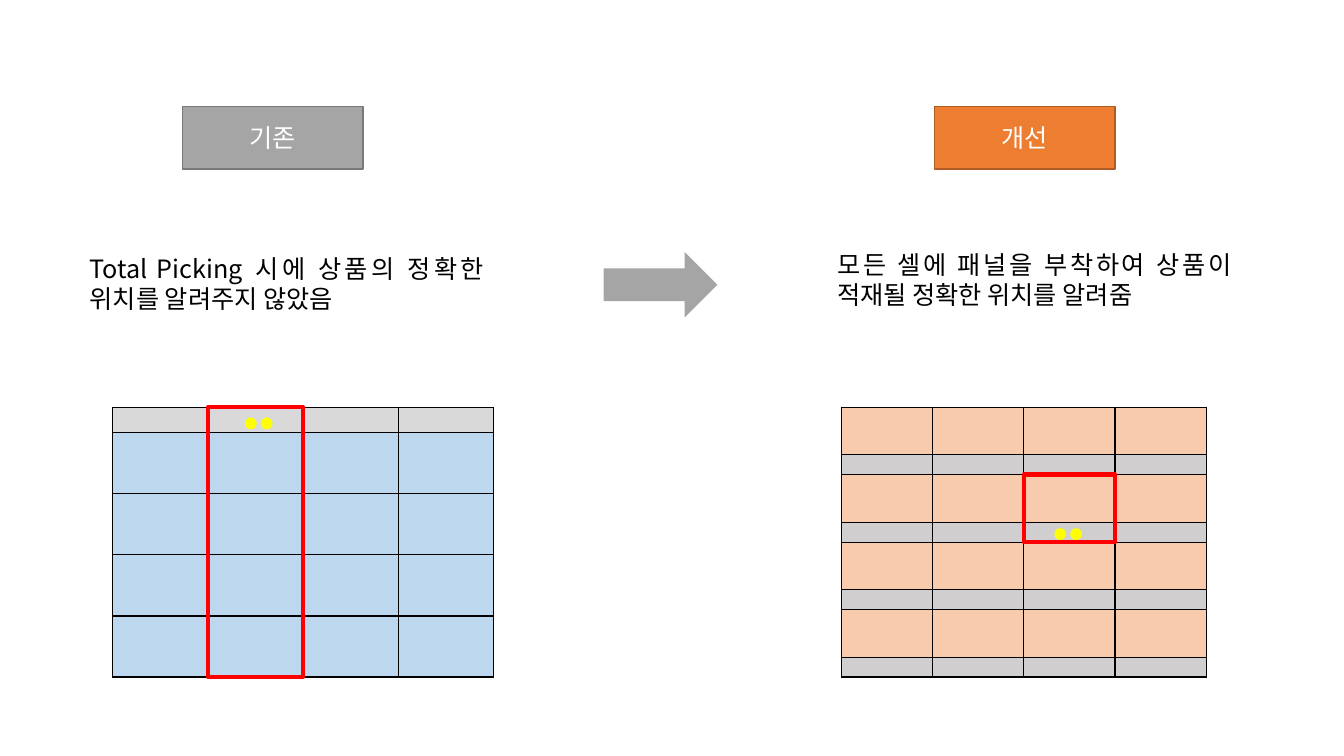
"""Build a before-and-after slide comparing two shelf labelling layouts."""
from dataclasses import dataclass

from lxml import etree
from pptx import Presentation, util as u
from pptx.dml.color import RGBColor
from pptx.enum import shapes, text
from pptx.oxml.ns import qn


@dataclass(frozen=True)
class Theme:
    font: str = "Noto Sans CJK KR"
    size: float = 18
    leading: float = 21.5
    cell_size: float = 6
    ink: str = "000000"
    paper: str = "FFFFFF"
    grey: str = "A5A5A5"
    highlight: str = "FF0000"
    light: str = "FFFF00"


THEME = Theme()
PANEL_BEFORE, SHELF_BEFORE = ("D9D9D9", 0.64), ("BDD7EE", 1.54)
SHELF_AFTER, PANEL_AFTER = ("F8CBAD", 1.2), ("D0CECE", 0.5)

STATES = [
    dict(label="기존", label_left=4.6, fill="A5A5A5", edge="7A7A7A",
         note="Total Picking 시에 상품의 정확한 위치를 알려주지 않았음",
         note_at=(2.01, 6.27), rack_left=2.84, column_width=2.4,
         rows=[PANEL_BEFORE] + [SHELF_BEFORE] * 4,
         marked_column=1, marked_rows=(0, 5), lights_at=(0.93, 0.26)),
    dict(label="개선", label_left=23.55, fill="ED7D31", edge="AF5C24",
         note="모든 셀에 패널을 부착하여 상품이 적재될 정확한 위치를 알려줌",
         note_at=(20.85, 6.15), rack_left=21.2, column_width=2.3,
         rows=[SHELF_AFTER, PANEL_AFTER] * 4,
         marked_column=2, marked_rows=(2, 4), lights_at=(0.77, 1.35)),
]
COLUMNS = 4
LABEL_TOP, LABEL_SIZE = 2.69, (4.55, 1.57)
NOTE_SIZE = (10.44, 1.8)
RACK_TOP = 10.26
LIGHT_SIZE, LIGHT_STEP = 0.3, 0.4
ARROW = (15.21, 6.35, 2.87, 1.65)


def rgb(code):
    return RGBColor.from_string(code)


def cm(*lengths):
    return [u.Cm(length) for length in lengths]


def add_figure(slide, preset, box, fill=None, edge=None, width=1):
    figure = slide.shapes.add_shape(preset, *cm(*box))
    figure.shadow.inherit = False
    if fill:
        figure.fill.solid()
        figure.fill.fore_color.rgb = rgb(fill)
    else:
        figure.fill.background()
    if edge:
        figure.line.color.rgb = rgb(edge)
        figure.line.width = u.Pt(width)
    else:
        figure.line.fill.background()
    return figure


def write(frame, words, color, align):
    frame.text = words
    frame.word_wrap = True
    paragraph = frame.paragraphs[0]
    paragraph.alignment = align
    paragraph.line_spacing = u.Pt(THEME.leading)
    font = paragraph.runs[0].font
    font.name, font.size = THEME.font, u.Pt(THEME.size)
    font.color.rgb = rgb(color)
    east_asian = etree.Element(qn("a:ea"), typeface=THEME.font)
    font._element.find(qn("a:latin")).addnext(east_asian)


def format_cell(cell, fill):
    cell.margin_left = cell.margin_right = cell.margin_top = cell.margin_bottom = 0
    properties = cell._tc.get_or_add_tcPr()
    for side in ("lnL", "lnR", "lnT", "lnB"):
        border = etree.SubElement(properties, qn(f"a:{side}"), w=str(u.Pt(1)))
        solid = etree.SubElement(border, qn("a:solidFill"))
        etree.SubElement(solid, qn("a:srgbClr"), val=THEME.ink)
    cell.fill.solid()
    cell.fill.fore_color.rgb = rgb(fill)
    paragraph = cell.text_frame.paragraphs[0]._p
    etree.SubElement(paragraph, qn("a:endParaRPr"), sz=str(THEME.cell_size * 100))


def add_rack(slide, state):
    heights = [height for _, height in state["rows"]]
    width = state["column_width"]
    box = (state["rack_left"], RACK_TOP, width * COLUMNS, sum(heights))
    rack = slide.shapes.add_table(len(heights), COLUMNS, *cm(*box)).table
    rack.first_row = rack.horz_banding = False
    for column in rack.columns:
        column.width = u.Cm(width)
    for row, (fill, height) in zip(rack.rows, state["rows"]):
        row.height = u.Cm(height)
        for cell in row.cells:
            format_cell(cell, fill)

    first, end = state["marked_rows"]
    left = state["rack_left"] + state["marked_column"] * width
    top = RACK_TOP + sum(heights[:first])
    across, down = state["lights_at"]
    for light in range(2):
        add_figure(slide, shapes.MSO_SHAPE.OVAL,
                   (left + across + light * LIGHT_STEP, top + down, LIGHT_SIZE, LIGHT_SIZE),
                   THEME.light)
    add_figure(slide, shapes.MSO_SHAPE.RECTANGLE,
               (left, top, width, sum(heights[first:end])),
               edge=THEME.highlight, width=3)


def add_state(slide, state):
    note = slide.shapes.add_textbox(*cm(*state["note_at"], *NOTE_SIZE))
    write(note.text_frame, state["note"], THEME.ink, text.PP_ALIGN.JUSTIFY)
    label = add_figure(slide, shapes.MSO_SHAPE.RECTANGLE,
                       (state["label_left"], LABEL_TOP, *LABEL_SIZE),
                       state["fill"], state["edge"])
    label.text_frame.vertical_anchor = text.MSO_ANCHOR.MIDDLE
    write(label.text_frame, state["label"], THEME.paper, text.PP_ALIGN.CENTER)
    add_rack(slide, state)


deck = Presentation()
deck.slide_width, deck.slide_height = cm(33.87, 19.05)
comparison = deck.slides.add_slide(deck.slide_layouts[6])
for state in STATES:
    add_state(comparison, state)
add_figure(comparison, shapes.MSO_SHAPE.RIGHT_ARROW, ARROW, THEME.grey)
deck.save("out.pptx")
